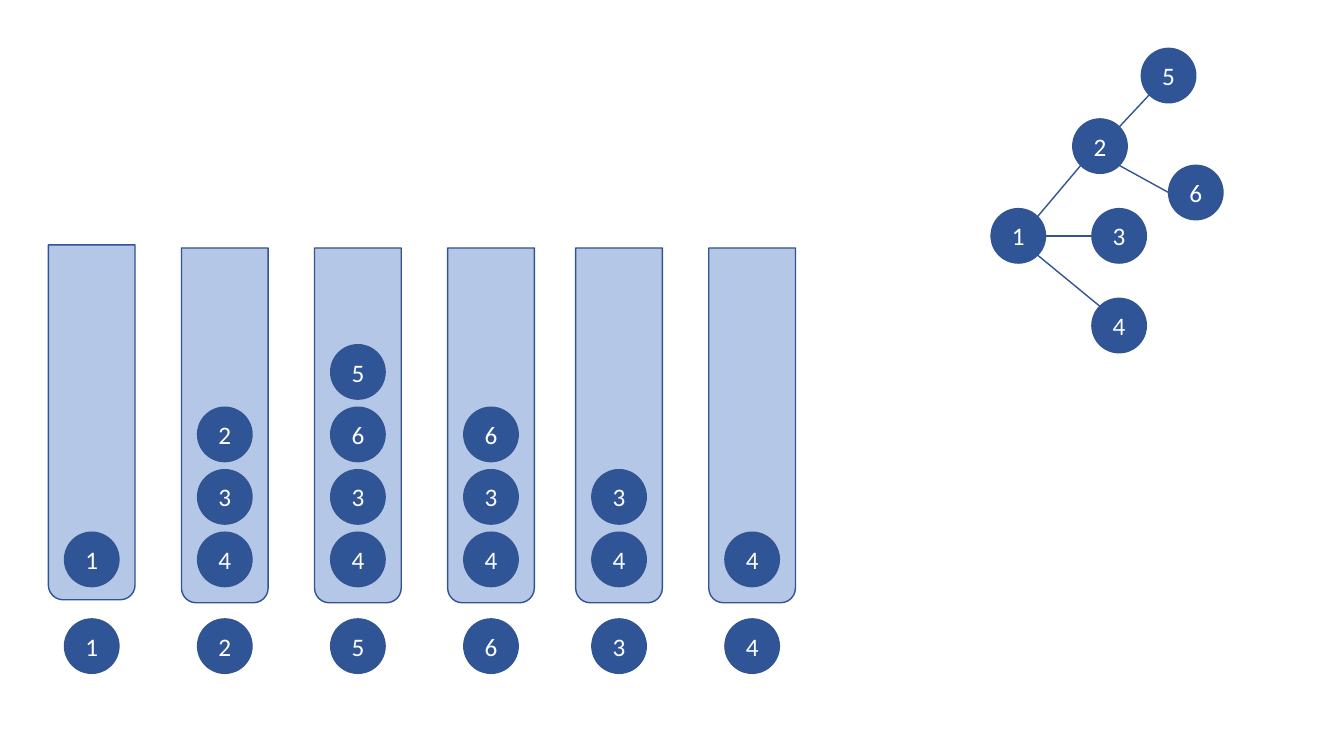
from dataclasses import dataclass
from math import cos, radians, sin

from lxml.etree import SubElement
from pptx import Presentation
from pptx.dml.color import RGBColor
from pptx.enum.shapes import MSO_CONNECTOR, MSO_SHAPE
from pptx.enum.text import MSO_ANCHOR, PP_ALIGN
from pptx.oxml.ns import qn
from pptx.util import Inches, Pt

COLORS = {"disc": "2F5597", "tube": "B4C7E7", "line": "325491", "text": "FFFFFF"}
DISC = 0.54
TUBE_WIDTH, TUBE_HEIGHT = 0.86, 3.52
BOTTOM_DISC_TOP, DISC_STEP = 5.28, 0.62
CAPTION_TOP = 6.14
TEXT_FORMAT = {"name": "Calibri", "size": Pt(18)}


@dataclass
class Node:
    label: str
    left: float
    top: float

    def rim(self, angle: float) -> tuple[float, float]:
        """Point on the circle; degrees run clockwise from the right."""
        radius = DISC / 2
        return (self.left + radius + radius * cos(radians(angle)),
                self.top + radius + radius * sin(radians(angle)))


@dataclass
class Edge:
    start: str
    start_angle: float
    end: str
    end_angle: float


@dataclass
class Stack:
    left: float
    items: str  # from bottom to top; the topmost one is the caption
    top: float = 2.46


TREE = {node.label: node for node in (
    Node("1", 9.83, 2.07), Node("2", 10.64, 1.18), Node("5", 11.32, 0.48),
    Node("3", 10.83, 2.07), Node("4", 10.83, 2.96), Node("6", 11.59, 1.64),
)}
EDGES = [
    Edge("1", -45, "2", 135), Edge("2", -45, "5", 135), Edge("1", 0, "3", 180),
    Edge("2", 45, "6", 180), Edge("1", 45, "4", 225),
]
STACKS = [
    Stack(0.48, "1", top=2.43), Stack(1.8, "432"), Stack(3.12, "4365"),
    Stack(4.44, "436"), Stack(5.71, "43"), Stack(7.03, "4"),
]


def color(name: str) -> RGBColor:
    return RGBColor.from_string(COLORS[name])


def outline(shape) -> None:
    shape.line.color.rgb = color("line")
    shape.line.width = Pt(1)


def add_filled(page, kind, bounds: tuple, fill: str):
    shape = page.shapes.add_shape(kind, *map(Inches, bounds))
    shape.shadow.inherit = False
    shape.fill.solid()
    shape.fill.fore_color.rgb = color(fill)
    outline(shape)
    return shape


def add_disc(page, node: Node) -> None:
    disc = add_filled(page, MSO_SHAPE.OVAL, (node.left, node.top, DISC, DISC), "disc")
    disc.text_frame.vertical_anchor = MSO_ANCHOR.MIDDLE
    para = disc.text_frame.paragraphs[0]
    para.alignment = PP_ALIGN.CENTER
    span = para.add_run()
    span.text = node.label
    for name, value in TEXT_FORMAT.items():
        setattr(span.font, name, value)
    span.font.color.rgb = color("text")


def add_edge(page, edge: Edge) -> None:
    ends = TREE[edge.start].rim(edge.start_angle) + TREE[edge.end].rim(edge.end_angle)
    line = page.shapes.add_connector(MSO_CONNECTOR.STRAIGHT, *map(Inches, ends))
    outline(line)
    SubElement(line.element.spPr, qn("a:effectLst"))


def add_stack(page, stack: Stack) -> None:
    """Draw a tube with its discs, and the topmost label below it."""
    bounds = (stack.left, stack.top, TUBE_WIDTH, TUBE_HEIGHT)
    tube = add_filled(page, MSO_SHAPE.ROUND_2_SAME_RECTANGLE, bounds, "tube")
    tube.adjustments[0] = 0
    tube.adjustments[1] = 0.17
    disc_left = stack.left + (TUBE_WIDTH - DISC) / 2
    for level, label in enumerate(stack.items):
        add_disc(page, Node(label, disc_left, BOTTOM_DISC_TOP - level * DISC_STEP))
    add_disc(page, Node(stack.items[-1], disc_left, CAPTION_TOP))


def main() -> None:
    deck = Presentation()
    deck.slide_width, deck.slide_height = Inches(13.33), Inches(7.5)
    page = deck.slides.add_slide(deck.slide_layouts[6])
    for node in TREE.values():
        add_disc(page, node)
    for edge in EDGES:
        add_edge(page, edge)
    for stack in STACKS:
        add_stack(page, stack)
    deck.save("out.pptx")


if __name__ == "__main__":
    main()
